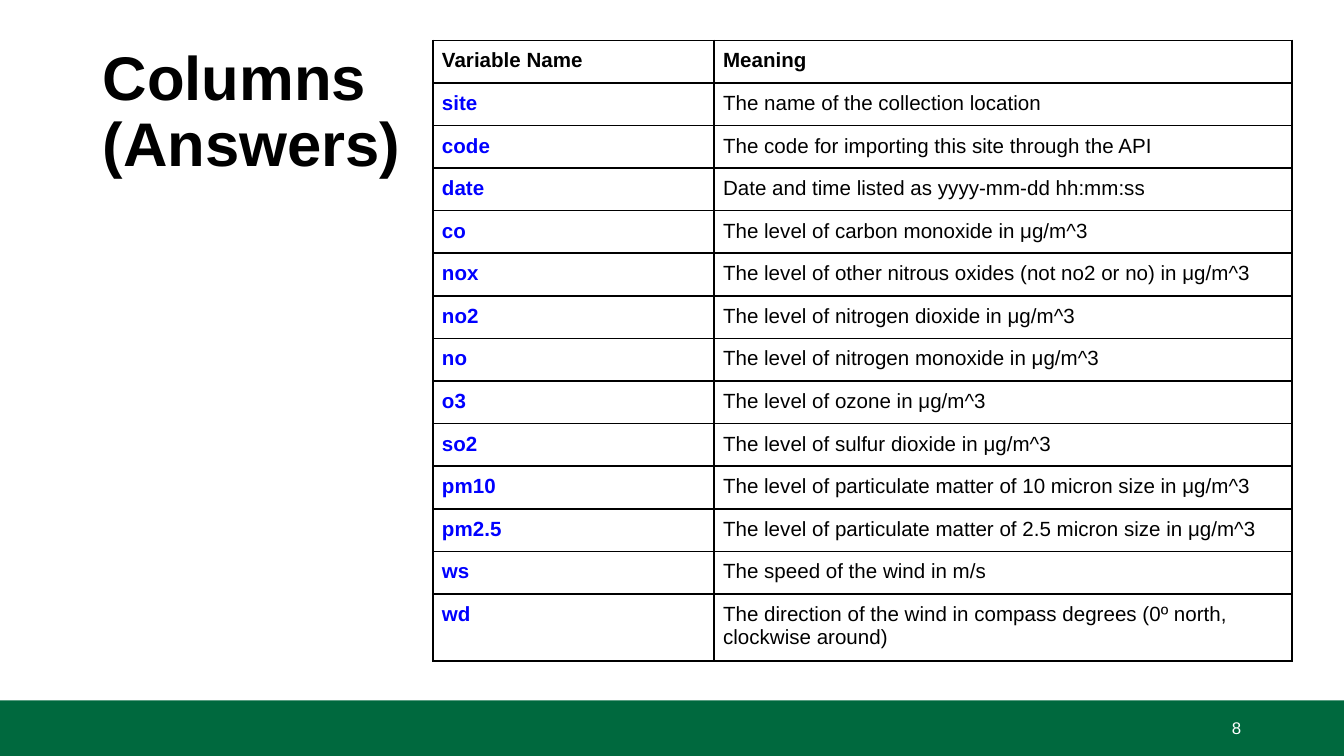
"""Build the slide that explains the columns of an air quality table."""
from typing import NamedTuple

from lxml import etree
from pptx import Presentation
from pptx.dml.color import RGBColor
from pptx.enum import shapes, text
from pptx.oxml import ns
from pptx.util import Pt

COLORS = {"ink": "000000", "paper": "FFFFFF", "variable": "0000FF", "footer": "00693E"}
FONT = "Arial"
UNIT = "in μg/m^3"
ROW_HEIGHT, LAST_ROW_HEIGHT = 22.23, 34.6
COLUMN_WIDTHS = (150.6, 309.8)


class Variable(NamedTuple):
    """One row of the table."""
    name: str
    meaning: str


class Label(NamedTuple):
    """A text box with its place and style."""
    content: str
    left: float
    top: float
    width: float
    height: float
    size: float
    color: str
    bold: bool
    align: text.PP_ALIGN
    spacing: float


VARIABLES = [
    Variable("site", "The name of the collection location"),
    Variable("code", "The code for importing this site through the API"),
    Variable("date", "Date and time listed as yyyy-mm-dd hh:mm:ss"),
    Variable("co", f"The level of carbon monoxide {UNIT}"),
    Variable("nox", f"The level of other nitrous oxides (not no2 or no) {UNIT}"),
    Variable("no2", f"The level of nitrogen dioxide {UNIT}"),
    Variable("no", f"The level of nitrogen monoxide {UNIT}"),
    Variable("o3", f"The level of ozone {UNIT}"),
    Variable("so2", f"The level of sulfur dioxide {UNIT}"),
    Variable("pm10", f"The level of particulate matter of 10 micron size {UNIT}"),
    Variable("pm2.5", f"The level of particulate matter of 2.5 micron size {UNIT}"),
    Variable("ws", "The speed of the wind in m/s"),
    Variable("wd", "The direction of the wind in compass degrees (0º north, clockwise around)"),
]
LABELS = [
    Label("Columns (Answers)", 49.7, 21.6, 177.1, 78.5, 33, "ink", True, text.PP_ALIGN.LEFT, 0.9),
    Label("8", 640.8, 379.4, 29.5, 21.6, 9, "paper", False, text.PP_ALIGN.RIGHT, 1.0),
]


def rgb(key: str) -> RGBColor:
    """Return the named colour."""
    return RGBColor.from_string(COLORS[key])


def style(paragraph, size: float, color: str, bold: bool) -> None:
    """Set the font of a paragraph."""
    font = paragraph.font
    font.name, font.size, font.bold = FONT, Pt(size), bold
    font.color.rgb = rgb(color)


def add_footer(slide) -> None:
    """Draw the band along the bottom edge."""
    band = slide.shapes.add_shape(shapes.MSO_SHAPE.RECTANGLE, Pt(0), Pt(375.2), Pt(720), Pt(29.8))
    band.shadow.inherit = False
    band.fill.solid()
    band.fill.fore_color.rgb = rgb("footer")
    band.line.fill.background()


def add_label(slide, label: Label) -> None:
    """Draw a text box."""
    box = slide.shapes.add_textbox(Pt(label.left), Pt(label.top), Pt(label.width), Pt(label.height))
    frame = box.text_frame
    frame.word_wrap = True
    frame.vertical_anchor = text.MSO_ANCHOR.MIDDLE
    frame.margin_left = frame.margin_right = Pt(5.4)
    frame.margin_top = frame.margin_bottom = Pt(2.7)
    paragraph = frame.paragraphs[0]
    paragraph.text = label.content
    paragraph.alignment, paragraph.line_spacing = label.align, label.spacing
    style(paragraph, label.size, label.color, label.bold)


def add_borders(cell) -> None:
    """Outline all four sides of a cell."""
    properties = cell._tc.get_or_add_tcPr()
    for index, side in enumerate(("lnL", "lnR", "lnT", "lnB")):
        line = etree.Element(ns.qn(f"a:{side}"), w=str(Pt(1)))
        fill = etree.SubElement(line, ns.qn("a:solidFill"))
        etree.SubElement(fill, ns.qn("a:srgbClr"), val=COLORS["ink"])
        properties.insert(index, line)


def fill_cell(cell, content: str, color: str, bold: bool) -> None:
    """Write and style one cell."""
    cell.text = content
    cell.margin_left = cell.margin_right = Pt(4.9)
    cell.margin_top = cell.margin_bottom = Pt(4.8)
    style(cell.text_frame.paragraphs[0], 11, color, bold)
    cell.fill.background()
    add_borders(cell)


def add_variables(slide, variables: list[Variable]) -> None:
    """Draw the table of variables and their meanings."""
    count = len(variables) + 1
    height = ROW_HEIGHT * (count - 1) + LAST_ROW_HEIGHT
    table = slide.shapes.add_table(
        count, 2, Pt(231.9), Pt(21.6), Pt(sum(COLUMN_WIDTHS)), Pt(height)).table
    table.horz_banding = False
    for column, width in zip(table.columns, COLUMN_WIDTHS):
        column.width = Pt(width)
    for row in table.rows:
        row.height = Pt(ROW_HEIGHT)
    table.rows[count - 1].height = Pt(LAST_ROW_HEIGHT)
    for column, heading in enumerate(("Variable Name", "Meaning")):
        fill_cell(table.cell(0, column), heading, "ink", True)
    for row, variable in enumerate(variables, 1):
        fill_cell(table.cell(row, 0), variable.name, "variable", True)
        fill_cell(table.cell(row, 1), variable.meaning, "ink", False)


def main() -> None:
    """Build and save the slide."""
    deck = Presentation()
    deck.slide_width, deck.slide_height = Pt(720), Pt(405)
    slide = deck.slides.add_slide(deck.slide_layouts[6])
    add_footer(slide)
    for label in LABELS:
        add_label(slide, label)
    add_variables(slide, VARIABLES)
    deck.save("out.pptx")


if __name__ == "__main__":
    main()
